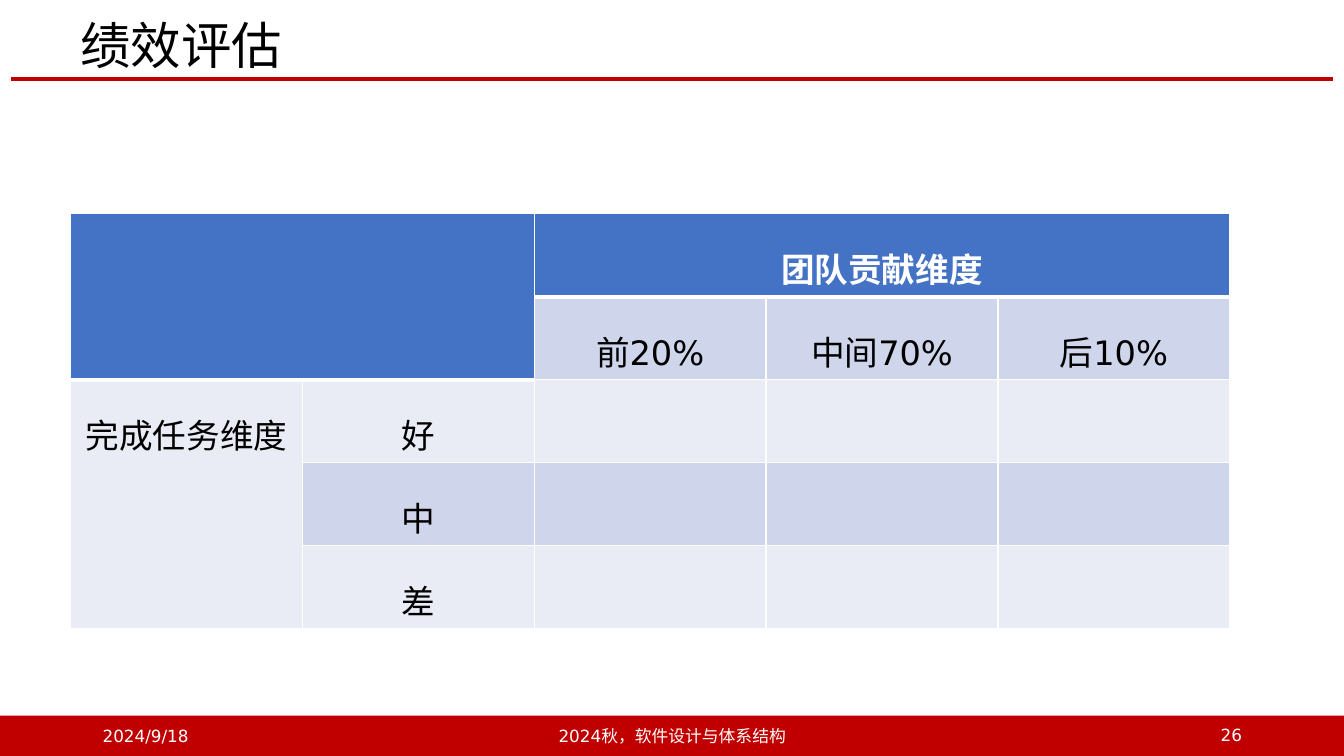
from lxml import etree
from pptx import Presentation
from pptx.dml.color import RGBColor
from pptx.enum.shapes import MSO_CONNECTOR, MSO_SHAPE
from pptx.enum.text import MSO_ANCHOR, PP_ALIGN
from pptx.oxml.ns import qn
from pptx.util import Pt

LEFT, CENTER, RIGHT = PP_ALIGN.LEFT, PP_ALIGN.CENTER, PP_ALIGN.RIGHT
LATIN, CJK = "DejaVu Sans", "Noto Sans CJK SC"
RED, BLUE, WHITE, BLACK = "C00000", "4472C4", "FFFFFF", "000000"
BANDS = ["E9EBF5", "CFD5EA"]

# Content
TITLE = "绩效评估"
GRID = [
    ["", "", "团队贡献维度", "", ""],
    ["", "", "前20%", "中间70%", "后10%"],
    ["完成任务维度", "好", "", "", ""],
    ["", "中", "", "", ""],
    ["", "差", "", "", ""],
]
MERGES = [((0, 0), (1, 1)), ((0, 2), (0, 4)), ((2, 0), (4, 0))]

# Layout in points
SLIDE_W, SLIDE_H = 960, 540
FOOTER_TOP, FOOTER_H = 511.2, 28.8
TABLE_LEFT, TABLE_TOP, COL_W, ROW_H = 50.4, 152.64, 165.6, 59.3
FOOTER = [  # text, left, top, width, alignment
    ("2024/9/18", 66.24, FOOTER_TOP, 216, LEFT),
    ("2024秋，软件设计与体系结构", 318.24, FOOTER_TOP, 324, CENTER),
    ("26", 678.24, 510.5, 216, RIGHT),
]


def color(value):
    return RGBColor.from_string(value)


def write(frame, text, size, ink, align, font=LATIN, spacing=None, bold=False):
    frame.text = text
    paragraph = frame.paragraphs[0]
    paragraph.alignment = align
    if spacing:
        paragraph.line_spacing = spacing
    for run in paragraph.runs:
        run.font.size, run.font.bold = Pt(size), bold
        run.font.color.rgb = color(ink)
        run.font.name = font
        east_asian = etree.SubElement(run.font._element, qn("a:ea"))
        east_asian.set("typeface", CJK)


def add_label(text, left, top, width, height, *style, **options):
    box = slide.shapes.add_textbox(Pt(left), Pt(top), Pt(width), Pt(height))
    frame = box.text_frame
    frame.word_wrap = True
    frame.vertical_anchor = MSO_ANCHOR.MIDDLE
    write(frame, text, *style, **options)


def is_header(row, col):
    return row == 0 or (row == 1 and col < 2)


def add_borders(cell, top, bottom):
    properties = cell._tc.get_or_add_tcPr()
    sides = [("L", 1), ("R", 1), ("T", top), ("B", bottom)]
    for index, (side, width) in enumerate(sides):
        line = etree.Element(qn("a:ln" + side), w=str(Pt(width)))
        fill = etree.SubElement(line, qn("a:solidFill"))
        etree.SubElement(fill, qn("a:srgbClr"), val=WHITE)
        properties.insert(index, line)


prs = Presentation()
prs.slide_width, prs.slide_height = Pt(SLIDE_W), Pt(SLIDE_H)
slide = prs.slides.add_slide(prs.slide_layouts[6])

# Title rule and footer band
rule = slide.shapes.add_connector(
    MSO_CONNECTOR.STRAIGHT, Pt(8), Pt(56.3), Pt(SLIDE_W - 8), Pt(56.3))
rule.line.color.rgb = color(RED)
rule.line.width = Pt(3)
etree.SubElement(rule._element.spPr, qn("a:effectLst"))

band = slide.shapes.add_shape(
    MSO_SHAPE.RECTANGLE, 0, Pt(FOOTER_TOP), Pt(SLIDE_W), Pt(FOOTER_H))
band.shadow.inherit = False
band.fill.solid()
band.fill.fore_color.rgb = color(RED)
band.line.fill.background()

# Title and footer texts
add_label(TITLE, 50.4, 12.96, 843.12, 43.2, 36, BLACK, LEFT,
          font=CJK, spacing=0.9)
for text, left, top, width, align in FOOTER:
    add_label(text, left, top, width, FOOTER_H, 12, WHITE, align)

# Evaluation table
rows, cols = len(GRID), len(GRID[0])
matrix = slide.shapes.add_table(
    rows, cols, Pt(TABLE_LEFT), Pt(TABLE_TOP),
    Pt(COL_W * cols), Pt(ROW_H * rows)).table
for row, texts in enumerate(GRID):
    for col, text in enumerate(texts):
        cell = matrix.cell(row, col)
        header = is_header(row, col)
        cell.fill.solid()
        cell.fill.fore_color.rgb = color(BLUE if header else BANDS[row % 2])
        below_header = row > 0 and not header and is_header(row - 1, col)
        add_borders(cell, 3 if below_header else 1, 3 if header else 1)
        if text:
            write(cell.text_frame, text, 24, WHITE if header else BLACK,
                  CENTER, spacing=1.5, bold=header)
for first, last in MERGES:
    matrix.cell(*first).merge(matrix.cell(*last))

prs.save("out.pptx")
